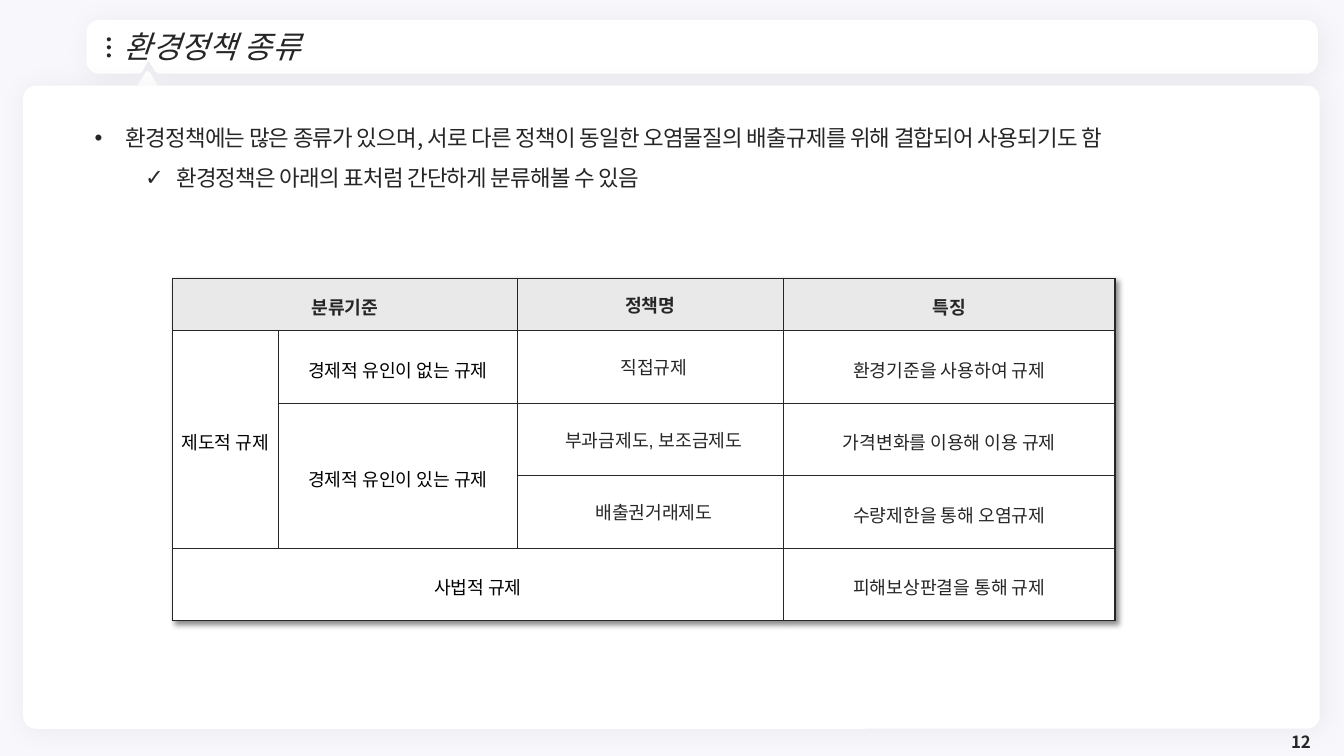
from math import cos, radians, sin

from lxml.etree import SubElement
from pptx import Presentation
from pptx.dml.color import RGBColor
from pptx.enum.shapes import MSO_SHAPE as Preset
from pptx.enum.text import MSO_ANCHOR as Anchor, PP_ALIGN as Align
from pptx.oxml import parse_xml
from pptx.oxml.ns import nsdecls, qn
from pptx.util import Inches, Pt

INK = RGBColor(0x26, 0x26, 0x26)
BLACK = RGBColor(0, 0, 0)
WHITE = RGBColor(0xFF, 0xFF, 0xFF)
HEADER_GREY = RGBColor(0xE9, 0xE9, 0xE9)
BACKDROP = RGBColor(0xF8, 0xF7, 0xFC)
SOFT_SHADOW = dict(alpha=5, blur=20, distance=3)
TABLE_SHADOW = dict(alpha=45, blur=4, distance=3)

COLUMN_WIDTHS = [1.05, 2.37, 2.64, 3.29]
ROW_HEIGHTS = [0.52] + [0.72] * 4
POLICIES = [
    ["분류기준", "", "정책명", "특징"],
    ["제도적 규제", "경제적 유인이 없는 규제", "직접규제", "환경기준을 사용하여 규제"],
    ["", "경제적 유인이 있는 규제", "부과금제도, 보조금제도", "가격변화를 이용해 이용 규제"],
    ["", "", "배출권거래제도", "수량제한을 통해 오염규제"],
    ["사법적 규제", "", "", "피해보상판결을 통해 규제"],
]
MERGES = [((0, 0), (0, 1)), ((1, 0), (3, 0)), ((2, 1), (3, 1)), ((4, 0), (4, 2))]
POLICY_COLUMN = 2
BULLETS = [
    ("•", 0.41, "환경정책에는 많은 종류가 있으며, 서로 다른 정책이 동일한 오염물질의 "
                "배출규제를 위해 결합되어 사용되기도 함"),
    ("✓", 0.91, "환경정책은 아래의 표처럼 간단하게 분류해볼 수 있음"),
]


def add_shadow(effects, alpha, blur, distance):
    """Put a black shadow falling to the lower right into an effect list."""
    shadow = SubElement(effects, qn("a:outerShdw"), blurRad=str(Pt(blur)),
                        dist=str(Pt(distance)), dir="2700000", algn="tl", rotWithShape="0")
    black = SubElement(shadow, qn("a:srgbClr"), val=str(BLACK))
    SubElement(black, qn("a:alpha"), val=str(alpha * 1000))


def corner(x, y, radius, start):
    """Points of a quarter circle around (x, y), clockwise from the start angle."""
    angles = [radians(start + step) for step in range(0, 91, 15)]
    return [(x + radius * cos(a), y + radius * sin(a)) for a in angles]


class PolicySlide:
    font = "Noto Sans CJK KR"
    table_font = "Arial"

    def __init__(self, deck):
        self.slide = deck.slides.add_slide(deck.slide_layouts[6])
        self.shapes = self.slide.shapes
        background = self.slide.background.fill
        background.solid()
        background.fore_color.rgb = BACKDROP

    def paint(self, shape, color, line=0, shadow=None):
        shape.shadow.inherit = False
        shape.fill.solid()
        shape.fill.fore_color.rgb = color
        if line:
            shape.line.color.rgb = color
            shape.line.width = Pt(line)
        else:
            shape.line.fill.background()
        if shadow:
            add_shadow(shape._element.spPr.find(qn("a:effectLst")), **shadow)
        return shape

    def preset(self, kind, box, color, **style):
        shape = self.shapes.add_shape(kind, *map(Inches, box))
        return self.paint(shape, color, **style)

    def outline(self, points, color, **style):
        first, *rest = [(Inches(x), Inches(y)) for x, y in points]
        builder = self.shapes.build_freeform(*first)
        builder.add_line_segments(rest)
        return self.paint(builder.convert_to_shape(), color, **style)

    def style_run(self, run, size, font=None, color=INK, bold=False, italic=False):
        run.font.size = Pt(size)
        run.font.name = font or self.font
        run.font.color.rgb = color
        run.font.bold = bold
        run.font.italic = italic
        latin = run._r.rPr.find(qn("a:latin"))
        latin.addnext(parse_xml(f'<a:ea {nsdecls("a")} typeface="{self.font}"/>'))

    def text(self, box, words, size, align=Align.LEFT, spacing=1.0, **style):
        frame = self.shapes.add_textbox(*map(Inches, box)).text_frame
        frame.word_wrap = True
        frame.vertical_anchor = Anchor.MIDDLE
        frame.text = words
        paragraph = frame.paragraphs[0]
        paragraph.alignment = align
        paragraph.line_spacing = spacing
        self.style_run(paragraph.runs[0], size, **style)

    def bullets(self, box, items):
        frame = self.shapes.add_textbox(*map(Inches, box)).text_frame
        frame.word_wrap = True
        frame.text = "\n".join(words for _, _, words in items)
        for level, (mark, indent, _) in enumerate(items):
            paragraph = frame.paragraphs[level]
            paragraph.level = level
            paragraph.line_spacing = 1.5
            properties = paragraph._p.get_or_add_pPr()
            properties.set("marL", str(Inches(indent)))
            properties.set("indent", str(Inches(-0.31)))
            SubElement(properties, qn("a:buFont"), typeface="Arial")
            SubElement(properties, qn("a:buChar"), char=mark)
            self.style_run(paragraph.runs[0], 16)
            paragraph.runs[0]._r.rPr.set("spc", "-50")

    def table(self, left, top, rows, widths, heights, merges):
        table = self.shapes.add_table(
            len(rows), len(widths), Inches(left), Inches(top),
            Inches(sum(widths)), Inches(sum(heights))).table
        for column, width in zip(table.columns, widths):
            column.width = Inches(width)
        for row, height in zip(table.rows, heights):
            row.height = Inches(height)
        effects = parse_xml(f'<a:effectLst {nsdecls("a")}/>')
        add_shadow(effects, **TABLE_SHADOW)
        table._tbl.tblPr.insert(0, effects)
        last_row, last_column = len(rows) - 1, len(widths) - 1
        for r, row in enumerate(rows):
            for c, words in enumerate(row):
                cell = table.cell(r, c)
                self.fill_cell(cell, words, r == 0, c)
                self.border_cell(cell, L=c == 0, R=c == last_column,
                                 T=r == 0, B=r == last_row)
        for start, end in merges:
            table.cell(*start).merge(table.cell(*end))

    def fill_cell(self, cell, words, is_header, column):
        cell.fill.solid()
        cell.fill.fore_color.rgb = HEADER_GREY if is_header else WHITE
        cell.vertical_anchor = Anchor.MIDDLE
        is_policy = column == POLICY_COLUMN
        cell.margin_left = Inches(0.07)
        cell.margin_right = Inches(0 if is_policy and not is_header else 0.07)
        cell.margin_top = cell.margin_bottom = Inches(0.02)
        if not words:
            return
        cell.text_frame.text = words
        paragraph = cell.text_frame.paragraphs[0]
        paragraph.alignment = Align.CENTER
        paragraph.line_spacing = 1.0 if is_policy else 1.2
        color = INK if is_header or column >= POLICY_COLUMN else BLACK
        self.style_run(paragraph.runs[0], 13, self.table_font, color, bold=is_header)

    def border_cell(self, cell, **outer_sides):
        """Draw all four sides, with those on the rim of the table thicker."""
        properties = cell._tc.get_or_add_tcPr()
        for position, (side, is_outer) in enumerate(outer_sides.items()):
            width = Pt(1 if is_outer else 0.5)
            properties.insert(position, parse_xml(
                f'<a:ln{side} {nsdecls("a")} w="{width}"><a:solidFill>'
                f'<a:srgbClr val="{INK}"/></a:solidFill></a:ln{side}>'))


def main():
    deck = Presentation()
    deck.slide_width, deck.slide_height = Inches(13.33), Inches(7.5)
    page = PolicySlide(deck)

    left, top, right, bottom, radius = 0.91, 0.25, 13.02, 0.68, 0.07
    notch = [(1.58, bottom), (1.47, 0.5), (1.37, bottom)]
    title_bar = (corner(left + radius, top + radius, radius, 180)
                 + corner(right - radius, top + radius, radius, 270)
                 + corner(right - radius, bottom - radius, radius, 0)
                 + notch
                 + corner(left + radius, bottom - radius, radius, 90))
    page.outline(title_bar, WHITE, line=7.25, shadow=SOFT_SHADOW)
    for dot in range(3):
        page.preset(Preset.OVAL, (1.06, 0.37 + 0.08 * dot, 0.04, 0.04), INK)
    page.preset(Preset.ISOSCELES_TRIANGLE, (1.35, 0.73, 0.23, 0.2), WHITE, line=3.75)
    panel = page.preset(Preset.ROUNDED_RECTANGLE, (0.23, 0.85, 12.86, 6.38), WHITE,
                        shadow=SOFT_SHADOW)
    panel.adjustments[0] = 0.02

    page.text((1.13, 0.35, 11.41, 0.26), "환경정책 종류", 22, spacing=0.9, italic=True)
    page.text((10.1, 7.23, 3, 0.26), "12", 12, Align.RIGHT, bold=True)
    page.table(1.71, 2.76, POLICIES, COLUMN_WIDTHS, ROW_HEIGHTS, MERGES)
    page.bullets((0.74, 1.05, 12.06, 0.86), BULLETS)
    deck.save("out.pptx")


if __name__ == "__main__":
    main()
